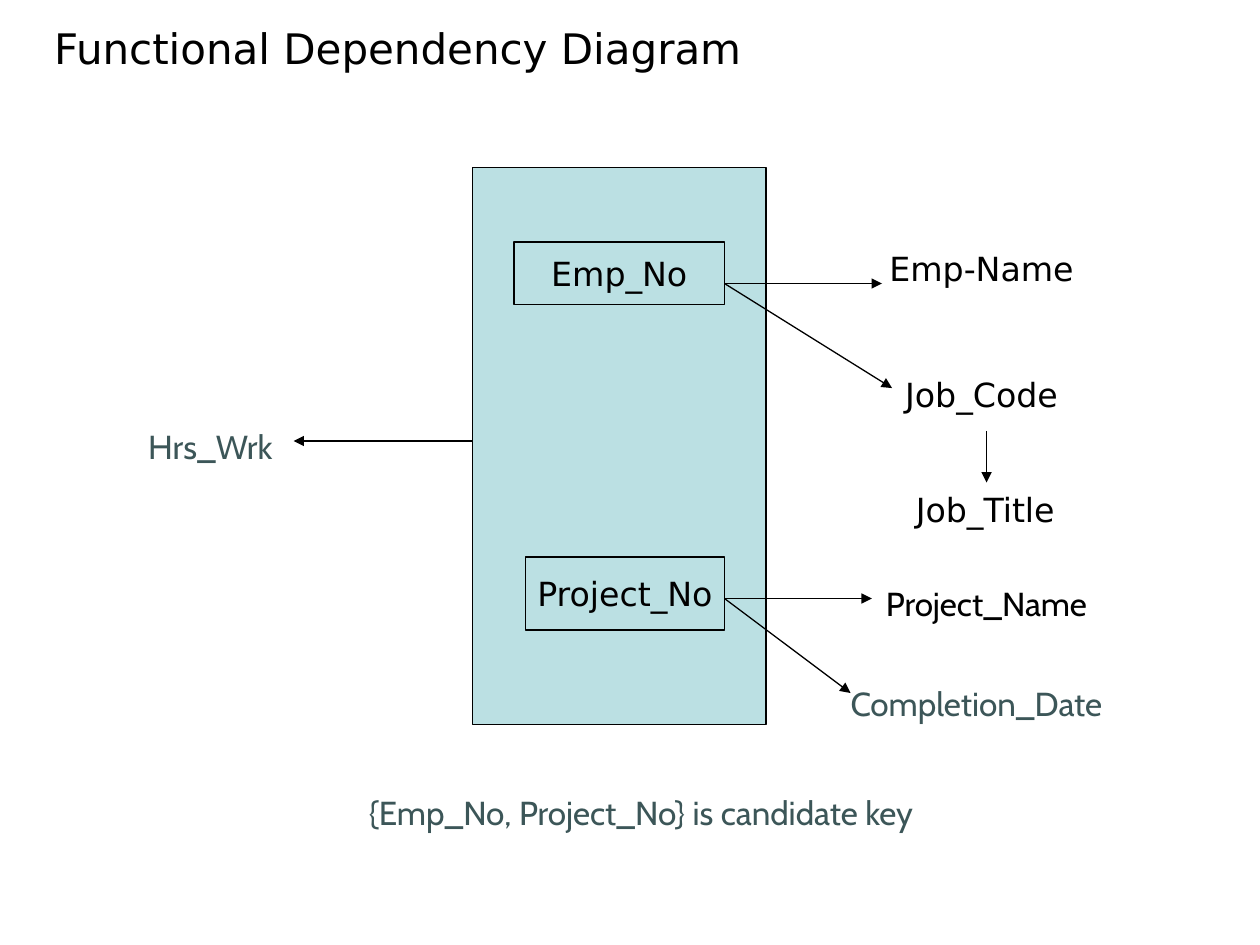
from lxml import etree
from pptx import Presentation
from pptx.dml.color import RGBColor
from pptx.enum.shapes import MSO_CONNECTOR, MSO_SHAPE
from pptx.enum.text import MSO_ANCHOR, PP_ALIGN
from pptx.oxml.ns import qn
from pptx.util import Inches, Pt

RECTANGLE = MSO_SHAPE.RECTANGLE
STRAIGHT = MSO_CONNECTOR.STRAIGHT
TOP, MIDDLE, BOTTOM = MSO_ANCHOR.TOP, MSO_ANCHOR.MIDDLE, MSO_ANCHOR.BOTTOM
LEFT, CENTER = PP_ALIGN.LEFT, PP_ALIGN.CENTER

COLORS = {"ink": "000000", "key": "BBE0E3", "muted": "3C5658"}
SANS, CABIN = "DejaVu Sans", "Cabin"


def rgb(name):
    return RGBColor.from_string(COLORS[name])


def write_text(frame, text, font=SANS, size=19, color="ink", align=CENTER,
               anchor=MIDDLE, wrap=False, left_inset=0.1):
    frame.word_wrap = wrap
    frame.vertical_anchor = anchor
    frame.margin_left = Inches(left_inset)
    paragraph = frame.paragraphs[0]
    paragraph.alignment = align
    run = paragraph.add_run()
    run.text = text
    run.font.name = font
    run.font.size = Pt(size)
    run.font.color.rgb = rgb(color)


class DependencyDiagram:
    """Holds the slide and the line style shared by boxes and arrows."""

    def __init__(self, slide, line_width=0.75):
        self.shapes = slide.shapes
        self.line_width = Pt(line_width)

    def outline(self, line):
        line.color.rgb = rgb("ink")
        line.width = self.line_width

    def caption(self, text, bounds, **text_format):
        holder = self.shapes.add_textbox(*map(Inches, bounds))
        write_text(holder.text_frame, text, align=LEFT, **text_format)

    def box(self, bounds, text=None, fill=None, outlined=True, **text_format):
        """Add a rectangle; its text may run past the edges without wrapping."""
        rectangle = self.shapes.add_shape(RECTANGLE, *map(Inches, bounds))
        rectangle.shadow.inherit = False
        if outlined:
            self.outline(rectangle.line)
        else:
            rectangle.line.fill.background()
        if fill:
            rectangle.fill.solid()
            rectangle.fill.fore_color.rgb = rgb(fill)
        else:
            rectangle.fill.background()
        if text:
            write_text(rectangle.text_frame, text, **text_format)

    def arrow(self, start, end):
        connector = self.shapes.add_connector(STRAIGHT, *map(Inches, start + end))
        self.outline(connector.line)
        line = connector.line._ln
        etree.SubElement(line, qn("a:tailEnd"), type="triangle")
        etree.SubElement(connector._element.spPr, qn("a:effectLst"))


def main():
    prs = Presentation()
    prs.slide_width, prs.slide_height = Inches(10), Inches(7.5)
    diagram = DependencyDiagram(prs.slides.add_slide(prs.slide_layouts[6]))

    diagram.caption("Functional Dependency Diagram", (0.03, 0.16, 7.31, 0.47),
                    size=24, anchor=BOTTOM, wrap=True, left_inset=0.4)

    diagram.box((3.75, 1.33, 2.33, 4.42), fill="key")
    diagram.box((4.17, 4.42, 1.58, 0.58), "Project_No")
    diagram.box((4.08, 1.92, 1.67, 0.5), "Emp_No", fill="key")

    attributes = [
        ("Emp-Name", (7.08, 1.92, 1.42, 0.42), SANS, "ink"),
        ("Job_Code", (7.25, 2.92, 1.08, 0.42), SANS, "ink"),
        ("Job_Title", (7.11, 3.83, 1.42, 0.42), SANS, "ink"),
        ("Project_Name", (7.08, 4.5, 1.5, 0.58), CABIN, "ink"),
        ("Completion_Date", (7, 5.33, 1.5, 0.5), CABIN, "muted"),
        ("Hrs_Wrk", (0.92, 3.25, 1.5, 0.58), CABIN, "muted"),
    ]
    for text, bounds, font, color in attributes:
        diagram.box(bounds, text, outlined=False, font=font, color=color)

    dependencies = {
        (5.75, 2.25): [(7, 2.25), (7.08, 3.08)],     # Emp_No
        (7.83, 3.42): [(7.83, 3.83)],                # Job_Code
        (5.75, 4.75): [(6.92, 4.75), (6.75, 5.5)],   # Project_No
        (3.75, 3.5): [(2.33, 3.5)],                  # both keys together
    }
    for determinant, dependents in dependencies.items():
        for dependent in dependents:
            diagram.arrow(determinant, dependent)

    diagram.caption("{Emp_No, Project_No} is candidate key",
                    (2.83, 6.24, 4.85, 0.42),
                    font=CABIN, color="muted", anchor=TOP)

    prs.save("out.pptx")


if __name__ == "__main__":
    main()
